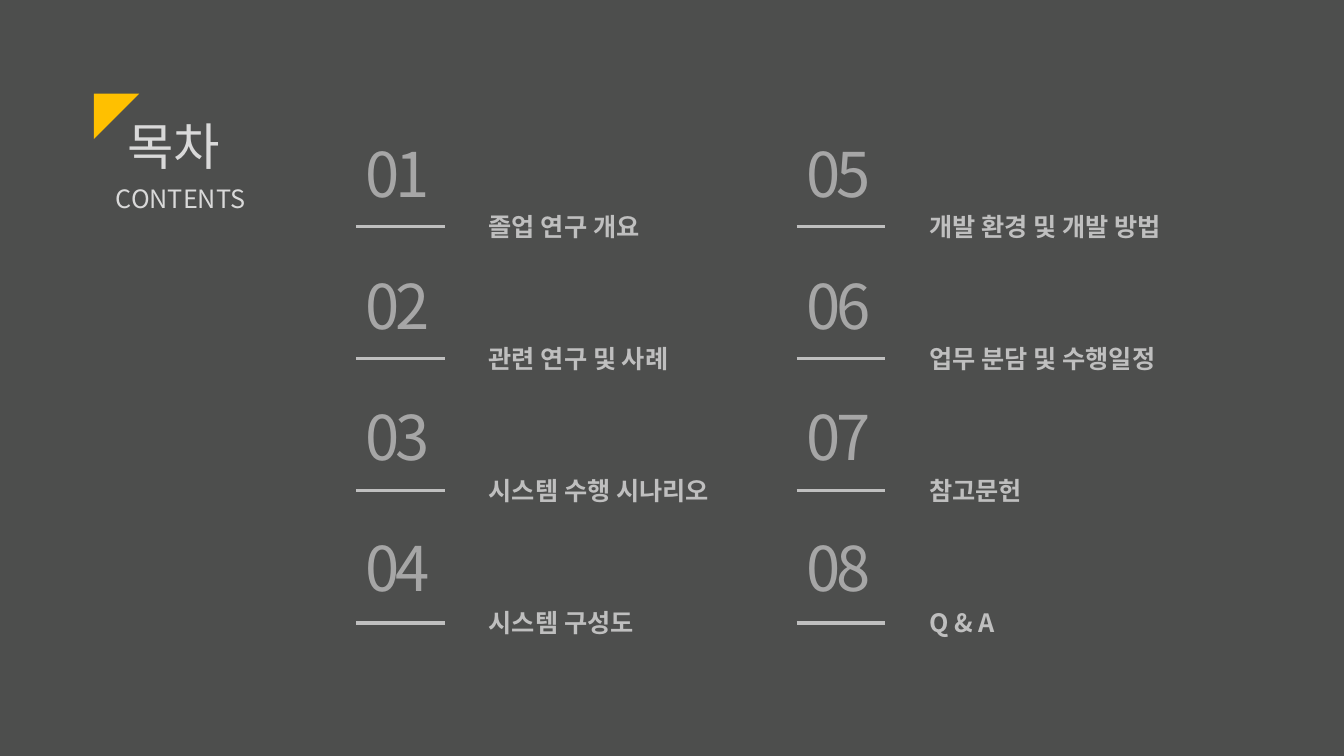
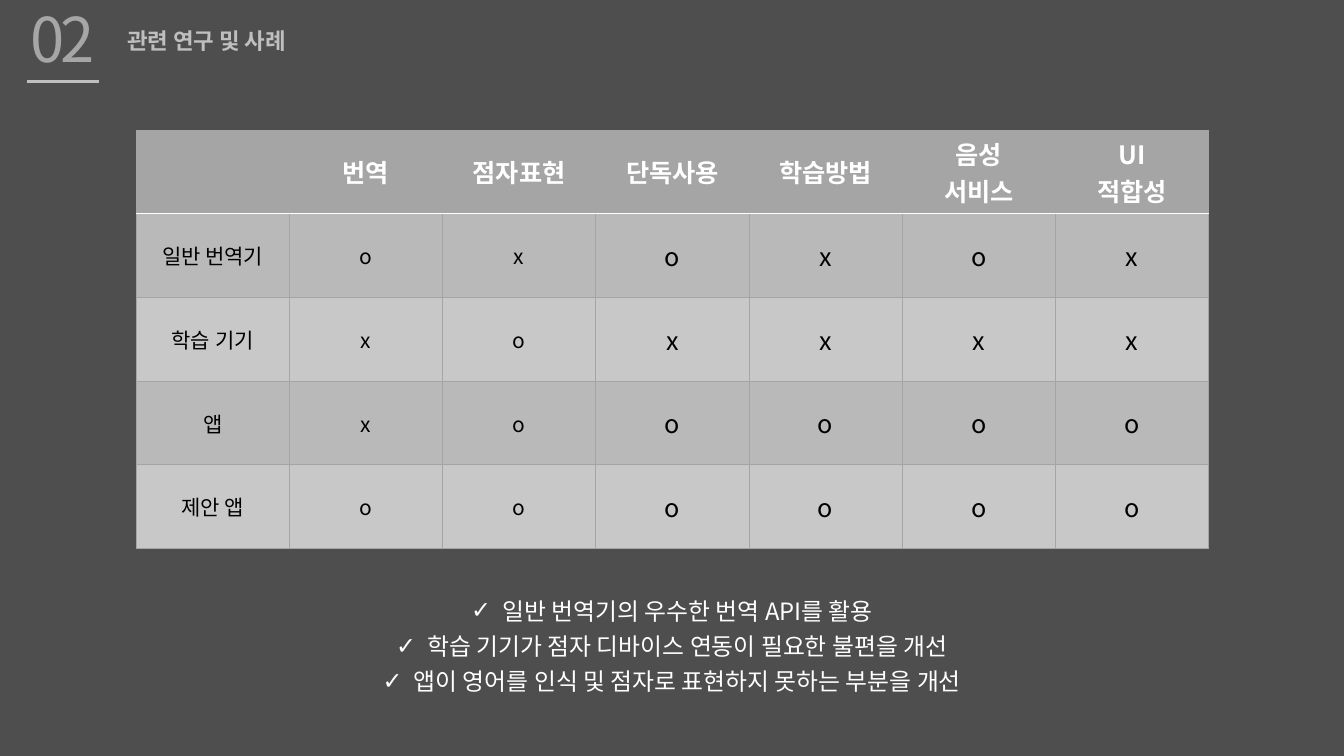
"""Build the contents slide and the related-work comparison slide."""
from dataclasses import dataclass

from lxml.etree import SubElement
from pptx import Presentation
from pptx.dml.color import RGBColor as Rgb
from pptx.enum.shapes import MSO_CONNECTOR as Connector
from pptx.enum.shapes import MSO_SHAPE as Preset
from pptx.enum.text import MSO_ANCHOR as Anchor
from pptx.enum.text import MSO_AUTO_SIZE as AutoSize
from pptx.enum.text import PP_ALIGN as Align
from pptx.oxml.ns import qn
from pptx.util import Pt

EMU_PER_PX = 9144


@dataclass(frozen=True)
class Theme:
    font: str = "Noto Sans CJK KR"
    background: str = "4D4E4D"
    accent: str = "FFC000"
    number: str = "A6A6A6"
    label: str = "BFBFBF"
    heading: str = "D9D9D9"
    grid: str = "A5A5A5"
    bands: tuple = ("B9B9B9", "C8C8C8")
    light: str = "FFFFFF"
    dark: str = "000000"
    number_size: int = 44
    heading_size: int = 36
    text_size: int = 18
    note_size: int = 17
    section_size: int = 16
    cell_size: int = 15
    rule_width: float = 2.25


THEME = Theme()
TOPICS = (
    "졸업 연구 개요", "관련 연구 및 사례", "시스템 수행 시나리오", "시스템 구성도",
    "개발 환경 및 개발 방법", "업무 분담 및 수행일정", "참고문헌", "Q & A",
)
TOPICS_PER_COLUMN = 4
CRITERIA = ("", "번역", "점자표현", "단독사용", "학습방법", "음성\n서비스", "UI\n적합성")
SERVICES = (
    ("일반 번역기", "oxoxox"),
    ("학습 기기", "xoxxxx"),
    ("앱", "xooooo"),
    ("제안 앱", "oooooo"),
)
IMPROVEMENTS = (
    "일반 번역기의 우수한 번역 API를 활용",
    "학습 기기가 점자 디바이스 연동이 필요한 불편을 개선",
    "앱이 영어를 인식 및 점자로 표현하지 못하는 부분을 개선",
)


def px(*lengths):
    return [length * EMU_PER_PX for length in lengths]


def apply(target, values):
    for name, value in values.items():
        setattr(target, name, value)


def place(shape, box):
    apply(shape, dict(zip(("left", "top", "width", "height"), px(*box))))


def paint(fill, color):
    fill.solid()
    fill.fore_color.rgb = Rgb.from_string(color)


def write(frame, text, size, color, bold=False, align=Align.LEFT, spacing=0):
    frame.text = text
    for paragraph in frame.paragraphs:
        paragraph.alignment = align
        for run in paragraph.runs:
            apply(run.font, {"name": THEME.font, "size": Pt(size), "bold": bold})
            run.font.color.rgb = Rgb.from_string(color)
            properties = run.font._element
            SubElement(properties, qn("a:ea"), typeface=THEME.font)
            if spacing:
                properties.set("spc", str(spacing * 100))


def write_block(shape, box, text, size, color, **options):
    place(shape, box)
    apply(shape.text_frame, {
        "word_wrap": True, "auto_size": AutoSize.NONE,
        "vertical_anchor": Anchor.MIDDLE, "margin_top": 0, "margin_bottom": 0,
    })
    write(shape.text_frame, text, size, color, **options)


def add_text(slide, box, text, size, color, **options):
    write_block(slide.shapes.add_textbox(*px(*box)), box, text, size, color, **options)


def add_number(slide, box, number, align=Align.LEFT):
    add_text(slide, box, f"{number:02d}", THEME.number_size, THEME.number,
             align=align, spacing=-3)


def add_rule(slide, left, top, width):
    ends = px(left, top, left + width, top)
    rule = slide.shapes.add_connector(Connector.STRAIGHT, *ends)
    paint(rule.line.fill, THEME.label)
    rule.line.width = Pt(THEME.rule_width)
    SubElement(rule._element.spPr, qn("a:effectLst"))


def add_corner(slide, box):
    corner = slide.shapes.add_shape(Preset.RIGHT_TRIANGLE, *px(*box))
    corner.rotation = 90
    corner.shadow.inherit = False
    paint(corner.fill, THEME.accent)
    corner.line.fill.background()


def add_topic(slide, index):
    column, row = divmod(index, TOPICS_PER_COLUMN)
    left = 353 + 437 * column
    add_number(slide, (left, 134 + 130 * row, 88, 76), index + 1)
    add_text(slide, (left + 122, 207 + 131 * row, 283, 36), TOPICS[index],
             THEME.text_size, THEME.label, bold=True)
    add_rule(slide, left, 225 + 131 * row, 88)


def set_border(cell, sides, color, width):
    properties = cell._tc.get_or_add_tcPr()
    for position, side in enumerate(sides):
        border = properties.makeelement(qn(f"a:ln{side}"), {"w": str(Pt(width))})
        fill = SubElement(border, qn("a:solidFill"))
        SubElement(fill, qn("a:srgbClr"), val=color)
        properties.insert(position, border)


def fill_cell(cell, text, fill, size, color, bold=False):
    cell.vertical_anchor = Anchor.MIDDLE
    paint(cell.fill, fill)
    write(cell.text_frame, text, size, color, bold=bold, align=Align.CENTER)


def add_comparison(slide):
    rows, columns = len(SERVICES) + 1, len(CRITERIA)
    box = px(135, 129, 152 * columns, 83 * rows)
    table = slide.shapes.add_table(rows, columns, *box).table
    table.horz_banding = False
    for column, criterion in enumerate(CRITERIA):
        header = table.cell(0, column)
        fill_cell(header, criterion, THEME.grid, THEME.text_size, THEME.light, bold=True)
        set_border(header, "LRT", THEME.grid, 0.5)
    for row, (service, marks) in enumerate(SERVICES, 1):
        for column, text in enumerate((service, *marks)):
            size = THEME.cell_size if column < 3 else THEME.text_size
            cell = table.cell(row, column)
            fill_cell(cell, text, THEME.bands[(row - 1) % 2], size, THEME.dark)
            set_border(cell, "LRTB", THEME.grid, 0.5)
    for column in range(columns):
        for row, side in ((0, "B"), (1, "T")):
            cell = table.cell(row, column)
            properties = cell._tc.tcPr
            for border in properties.findall(qn(f"a:ln{side}")):
                properties.remove(border)
            set_border_after(cell, side)


def set_border_after(cell, side):
    set_border(cell, side, THEME.light, 1)
    properties = cell._tc.tcPr
    order = [qn(f"a:ln{name}") for name in "LRTB"]
    borders = [child for child in properties if child.tag in order]
    for position, border in enumerate(sorted(borders, key=lambda b: order.index(b.tag))):
        properties.insert(position, border)


def write_checklist(body, box, items):
    write_block(body, box, "\n".join(items), THEME.note_size, THEME.light,
                align=Align.CENTER)
    for paragraph in body.text_frame.paragraphs:
        apply(paragraph, {"line_spacing": 1.24, "space_before": Pt(0)})
        properties = paragraph._p.get_or_add_pPr()
        indent = px(31)[0]
        properties.set("marL", str(indent))
        properties.set("indent", str(-indent))
        SubElement(properties, qn("a:buChar"), char="✓")


def build_contents(deck):
    slide = deck.slides.add_slide(deck.slide_layouts[5])
    write_block(slide.shapes.title, (116, 111, 179, 66), "목차",
                THEME.heading_size, THEME.heading)
    add_text(slide, (105, 178, 179, 37), "CONTENTS", THEME.text_size, THEME.heading)
    add_corner(slide, (93, 93, 45, 45))
    for index in range(len(TOPICS)):
        add_topic(slide, index)


def build_related_work(deck):
    slide = deck.slides.add_slide(deck.slide_layouts[1])
    add_number(slide, (0, 0, 124, 76), 2, align=Align.CENTER)
    write_block(slide.shapes.title, (116, 24, 236, 33), TOPICS[1],
                THEME.section_size, THEME.label, bold=True)
    add_rule(slide, 27, 81, 71)
    add_comparison(slide)
    write_checklist(slide.placeholders[1], (181, 569, 971, 137), IMPROVEMENTS)


def main():
    deck = Presentation()
    deck.slide_width, deck.slide_height = px(1333, 750)
    paint(deck.slide_master.background.fill, THEME.background)
    build_contents(deck)
    build_related_work(deck)
    deck.save("out.pptx")


if __name__ == "__main__":
    main()
